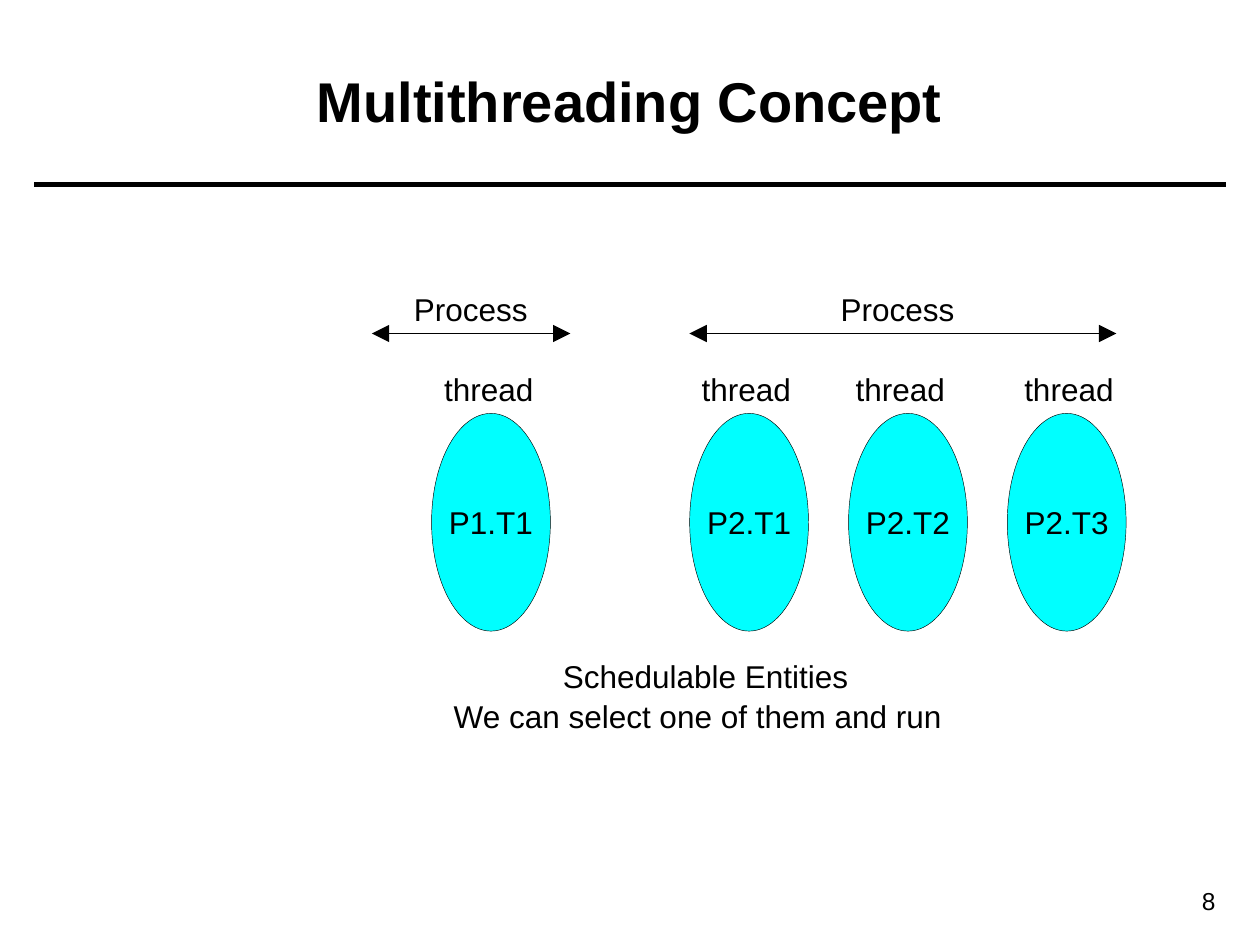
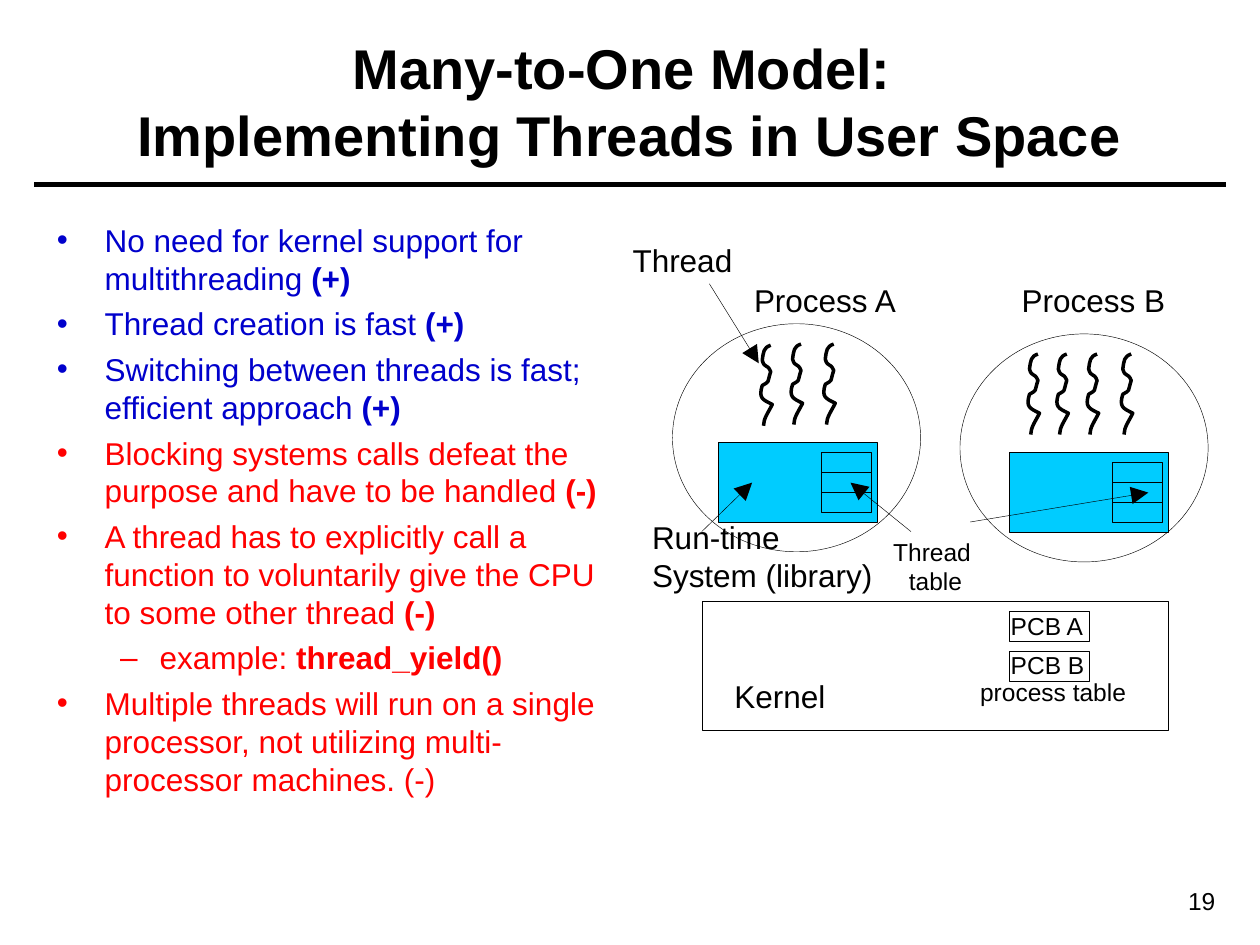
import pptx
import pptx.util
import pptx.dml.color
import pptx.enum.shapes
import pptx.enum.text
import pptx.oxml.ns
import lxml.etree

Pt = pptx.util.Pt
RGB = pptx.dml.color.RGBColor.from_string
ALIGN = pptx.enum.text.PP_ALIGN
MIDDLE = pptx.enum.text.MSO_ANCHOR.MIDDLE
FIT = pptx.enum.text.MSO_AUTO_SIZE.SHAPE_TO_FIT_TEXT
RECTANGLE = pptx.enum.shapes.MSO_SHAPE.RECTANGLE
OVAL = pptx.enum.shapes.MSO_SHAPE.OVAL
STRAIGHT = pptx.enum.shapes.MSO_CONNECTOR.STRAIGHT
qn = pptx.oxml.ns.qn

FONT = "Arial"
COLORS = {
    "ink": "000000",
    "thread": "00FFFF",
    "runtime": "00CCFF",
    "benefit": "0000CC",
    "drawback": "FF0000",
}
HAIRLINE = 0.25


def write(shape, paragraphs, size=18, align=ALIGN.LEFT, bold=False):
    frame = shape.text_frame
    frame.word_wrap = False
    for index, lines in enumerate(paragraphs):
        paragraph = frame.paragraphs[0] if index == 0 else frame.add_paragraph()
        paragraph.alignment = align
        for row, line in enumerate(lines.split("\n")):
            if row:
                paragraph.add_line_break()
            run = paragraph.add_run()
            run.text = line
            run.font.name = FONT
            run.font.size = Pt(size)
            run.font.bold = bold
            run.font.color.rgb = RGB(COLORS["ink"])
    return frame


def draw_line(slide, x1, y1, x2, y2, weight=HAIRLINE, arrows=()):
    line = slide.shapes.add_connector(STRAIGHT, Pt(x1), Pt(y1), Pt(x2), Pt(y2))
    line.line.color.rgb = RGB(COLORS["ink"])
    line.line.width = Pt(weight)
    properties = line._element.spPr
    for end in arrows:
        lxml.etree.SubElement(
            properties.find(qn("a:ln")), qn(f"a:{end}"), type="triangle", w="lg", len="lg"
        )
    lxml.etree.SubElement(properties, qn("a:effectLst"))


deck = pptx.Presentation()
deck.slide_width = Pt(720)
deck.slide_height = Pt(540)

pages = []
for title_text, number in [
    ("Multithreading Concept", "8"),
    ("Many-to-One Model: \nImplementing Threads in User Space", "19"),
]:
    page = deck.slides.add_slide(deck.slide_layouts[6])
    draw_line(page, 19.6, 105.6, 700.4, 105.6, weight=3)
    footer = page.shapes.add_textbox(Pt(626.7), Pt(502.6), Pt(74.9), Pt(24.5))
    write(footer, [number], 14, ALIGN.RIGHT).word_wrap = True
    title = page.shapes.add_textbox(Pt(25.4), Pt(12.4), Pt(668.9), Pt(90))
    heading = write(title, [title_text], 32, ALIGN.CENTER, True)
    heading.word_wrap = True
    heading.vertical_anchor = MIDDLE
    pages.append(page)

concept, many_to_one = pages

for name, left in [("P1.T1", 246.6), ("P2.T1", 394.1), ("P2.T2", 484.9), ("P2.T3", 575.6)]:
    thread = concept.shapes.add_shape(OVAL, Pt(left), Pt(236.2), Pt(67.9), Pt(124.4))
    thread.shadow.inherit = False
    thread.fill.solid()
    thread.fill.fore_color.rgb = RGB(COLORS["thread"])
    thread.line.color.rgb = RGB(COLORS["ink"])
    thread.line.width = Pt(HAIRLINE)
    write(thread, [name], align=ALIGN.CENTER).vertical_anchor = MIDDLE

for start, end in [(212.5, 326), (394, 637.9)]:
    draw_line(concept, start, 190.6, end, 190.6, arrows=("headEnd", "tailEnd"))

points = [
    ("No need for kernel support for multithreading ", "(+)", "benefit", 0),
    ("Thread creation is fast ", "(+)", "benefit", 0),
    ("Switching between threads is fast; efficient approach ", "(+)", "benefit", 0),
    ("Blocking systems calls defeat the purpose and have to be handled ", "(-)", "drawback", 0),
    ("A thread has to explicitly call a function to voluntarily give the CPU to some other thread ",
     "(-)", "drawback", 0),
    ("example: ", "thread_yield()", "drawback", 1),
    ("Multiple threads will run on a single processor, not utilizing multi-processor machines. (-)",
     "", "drawback", 0),
]
levels = [("•", 27.36, -27.36), ("–", 58.7, -22.5)]
body = many_to_one.shapes.add_textbox(Pt(25.4), Pt(122.7), Pt(328.3), Pt(368.6)).text_frame
body.word_wrap = True
for index, (statement, verdict, tone, level) in enumerate(points):
    paragraph = body.add_paragraph() if index else body.paragraphs[0]
    paragraph.level = level
    bullet, margin, indent = levels[level]
    layout = paragraph._p.get_or_add_pPr()
    layout.set("marL", str(Pt(margin)))
    layout.set("indent", str(Pt(indent)))
    if index:
        paragraph.space_before = Pt(4.5)
    bullet_color = lxml.etree.SubElement(layout, qn("a:buClr"))
    lxml.etree.SubElement(bullet_color, qn("a:srgbClr"), val=COLORS[tone])
    lxml.etree.SubElement(layout, qn("a:buFont"), typeface=FONT)
    lxml.etree.SubElement(layout, qn("a:buChar"), char=bullet)
    for words, bold in [(statement, False), (verdict, True)]:
        if words:
            run = paragraph.add_run()
            run.text = words
            run.font.name = FONT
            run.font.size = Pt(18)
            run.font.bold = bold
            run.font.color.rgb = RGB(COLORS[tone])

diagram = [
    (RECTANGLE, 401.2, 343.6, 266.4, 73.6, None),
    (RECTANGLE, 576.7, 349.2, 45.6, 17.3, None),
    (RECTANGLE, 576.7, 372.2, 45.6, 17.3, None),
    (OVAL, 384.3, 185, 141.8, 130.3, None),
    (OVAL, 548.6, 190.8, 141.8, 130.3, None),
]
for left, top in [(410.4, 253), (576.7, 258.7)]:
    diagram.append((RECTANGLE, left, top, 90.9, 45.4, "runtime"))
    for row in range(3):
        diagram.append((RECTANGLE, left + 59, top + 5.6 + row * 11.4, 28.4, 11.4, None))

for outline, left, top, width, height, fill in diagram:
    part = many_to_one.shapes.add_shape(outline, Pt(left), Pt(top), Pt(width), Pt(height))
    part.shadow.inherit = False
    part.line.color.rgb = RGB(COLORS["ink"])
    part.line.width = Pt(HAIRLINE)
    if fill:
        part.fill.solid()
        part.fill.fore_color.rgb = RGB(COLORS[fill])
    else:
        part.fill.background()

wave = [
    (7, 0),
    (2.9, 1.4), (2.9, 3.6), (2.2, 8.6),
    (3.6, 13.7), (5, 10.1), (7, 15.1),
    (4.7, 22.3), (6.8, 20.2), (2.2, 23),
    (0, 30.2), (2.2, 31), (7.9, 33.8),
    (5.8, 38.2), (2.9, 41.8), (2.9, 46),
]
for left, top in [
    (433.4, 197.3), (450.7, 196.6), (469.4, 196.6),
    (586.1, 202.3), (602.6, 202.3), (619.9, 202.3), (639.4, 202.3),
]:
    track = [(Pt(left + x), Pt(top + y)) for x, y in wave]
    builder = many_to_one.shapes.build_freeform(*track[0])
    builder.add_line_segments(track[1:], close=False)
    squiggle = builder.convert_to_shape()
    squiggle.shadow.inherit = False
    squiggle.fill.background()
    squiggle.line.color.rgb = RGB(COLORS["ink"])
    squiggle.line.width = Pt(2)
    segments = list(squiggle._element.iter(qn("a:lnTo")))
    outline = segments[0].getparent()
    for first in range(0, len(segments), 3):
        curve = lxml.etree.SubElement(outline, qn("a:cubicBezTo"))
        for segment in segments[first:first + 3]:
            curve.append(segment[0])
            outline.remove(segment)

labels = [
    (concept, 314.6, 372.2, 178.5, 28.8, ["Schedulable Entities"], 18, ALIGN.LEFT),
    (concept, 252.2, 394.6, 293, 28.8, ["We can select one of them and run"], 18, ALIGN.LEFT),
    (many_to_one, 412.6, 383.3, 66.2, 28.8, ["Kernel"], 18, ALIGN.LEFT),
    (many_to_one, 553, 383.3, 97.9, 24.5, ["process table"], 14, ALIGN.LEFT),
    (many_to_one, 423.8, 157, 96.5, 28.8, ["Process A"], 18, ALIGN.LEFT),
    (many_to_one, 576.7, 156.8, 96.5, 28.8, ["Process B"], 18, ALIGN.LEFT),
    (many_to_one, 570.5, 345.6, 57.6, 24.5, ["PCB A"], 14, ALIGN.LEFT),
    (many_to_one, 570.5, 367.9, 57.6, 24.5, ["PCB B"], 14, ALIGN.LEFT),
    (many_to_one, 503.3, 303.1, 62.6, 41, ["Thread ", "table"], 14, ALIGN.CENTER),
    (many_to_one, 365.5, 292.5, 140.4, 50.4, ["Run-time", "System (library)"], 18, ALIGN.LEFT),
    (many_to_one, 354.4, 134.2, 71.3, 28.8, ["Thread"], 18, ALIGN.LEFT),
]
for left in (229.5, 473.3):
    labels.append((concept, left, 162, 79.2, 28.8, ["Process"], 18, ALIGN.LEFT))
for left in (246.7, 393.9, 481.8, 578.2):
    labels.append((concept, left, 207.7, 65.5, 28.8, ["thread"], 18, ALIGN.LEFT))

for page, left, top, width, height, paragraphs, size, align in labels:
    label = page.shapes.add_textbox(Pt(left), Pt(top), Pt(width), Pt(height))
    write(label, paragraphs, size, align).auto_size = FIT

for x1, y1, x2, y2 in [
    (401, 303.8, 429.8, 275.8),
    (520.6, 303.8, 486, 275.8),
    (554.4, 298.3, 656.2, 281.5),
    (405.4, 162.2, 433.6, 207.6),
]:
    draw_line(many_to_one, x1, y1, x2, y2, arrows=("tailEnd",))

deck.save("out.pptx")
